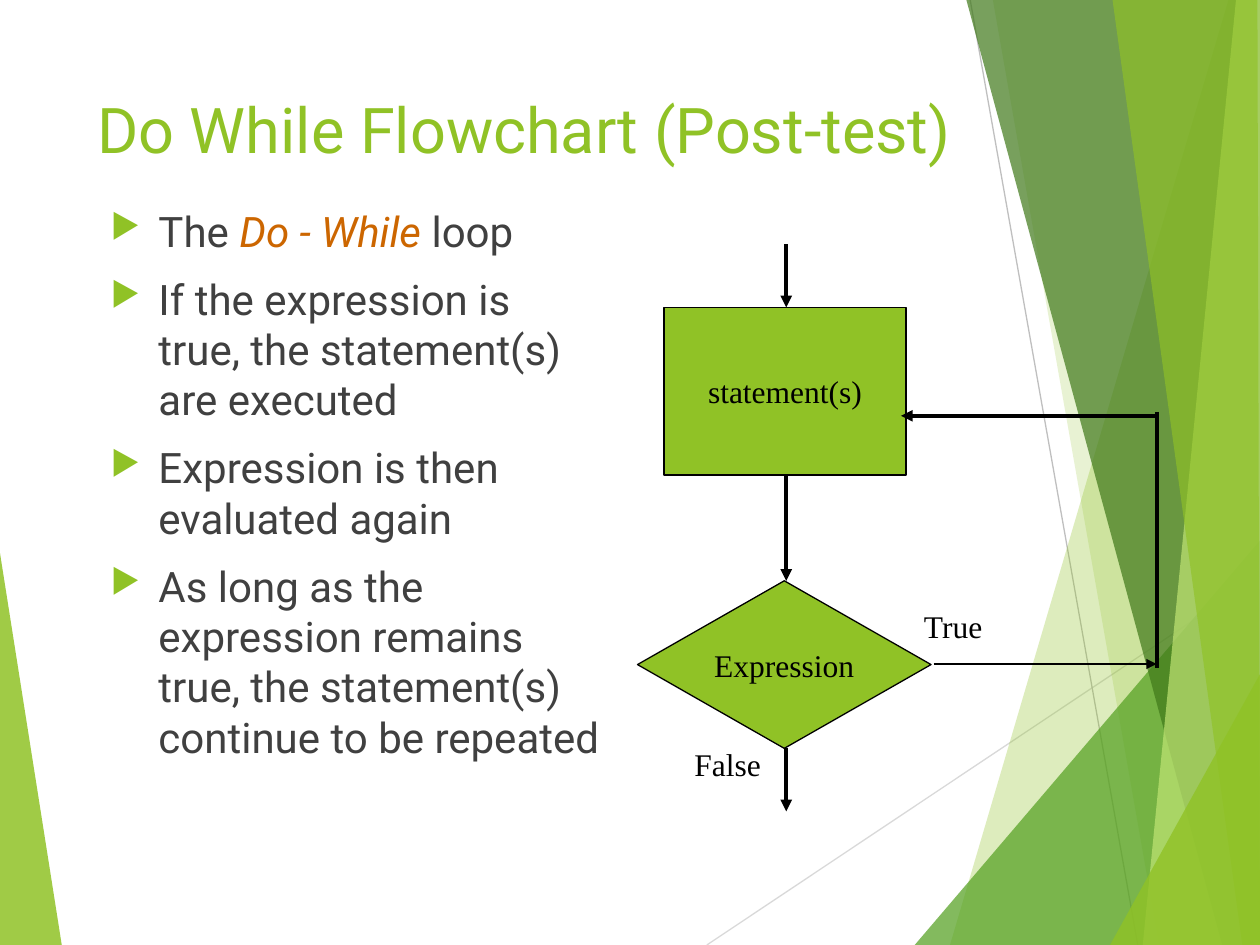
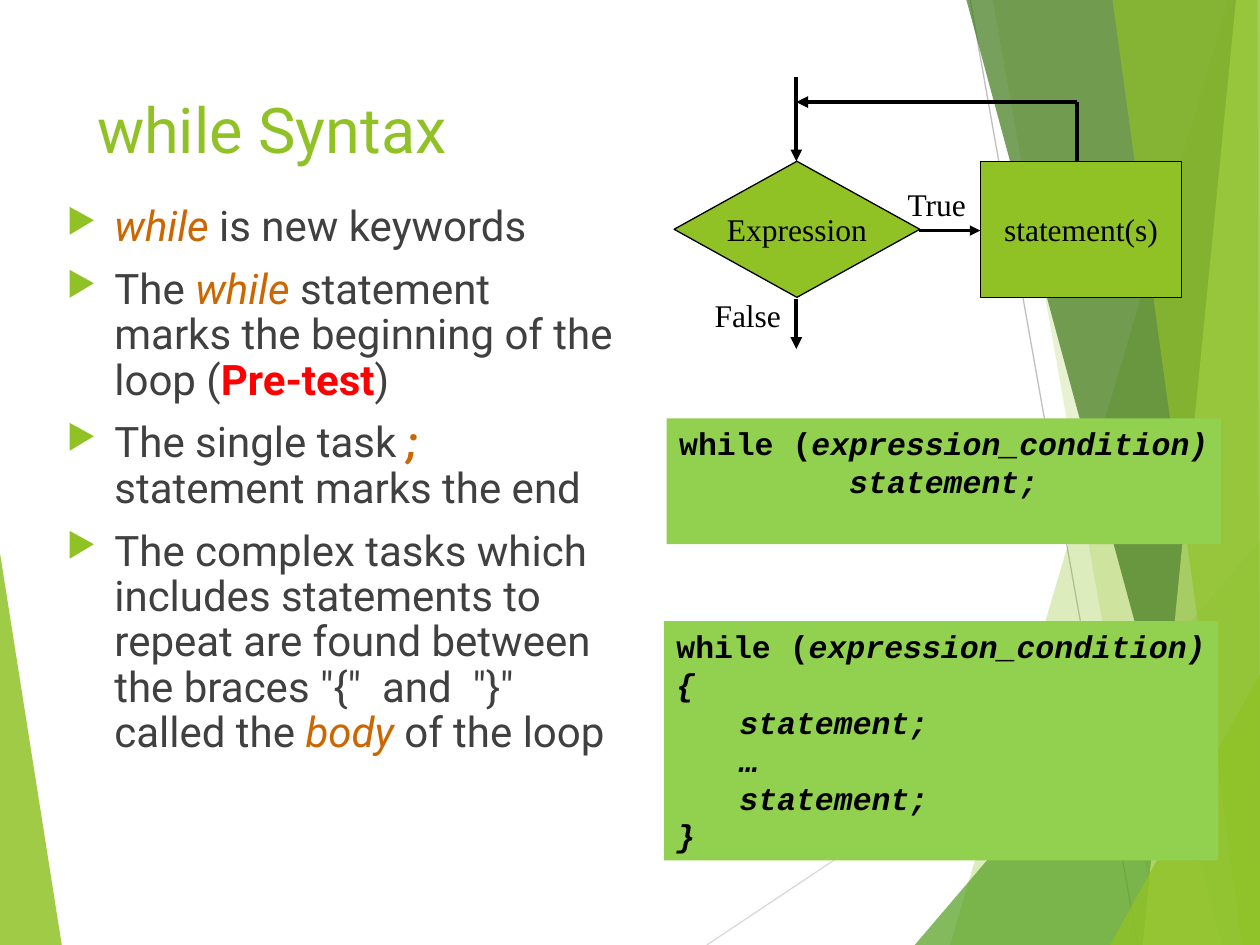
from dataclasses import dataclass

from lxml.etree import SubElement
from pptx import Presentation
from pptx.dml.color import RGBColor
from pptx.enum.shapes import MSO_CONNECTOR as Link, MSO_SHAPE as Shape
from pptx.enum.text import MSO_ANCHOR as Anchor, MSO_AUTO_SIZE as AutoSize, PP_ALIGN as Align
from pptx.oxml.ns import qn
from pptx.util import Inches, Pt

COLUMNS, ROWS = 10, 7.5
TITLE_ONLY = 5


@dataclass(frozen=True)
class Theme:
    accent: str = "90C226"
    leaf: str = "54A021"
    forest: str = "3F7819"
    lime: str = "C0E474"
    code_fill: str = "92D050"
    ink: str = "000000"
    body: str = "404040"
    keyword: str = "CC6600"
    alert: str = "FF0000"
    light_rule: str = "D9D9D9"
    dark_rule: str = "BFBFBF"
    text_font: str = "Roboto"
    label_font: str = "Times New Roman"
    code_font: str = "Courier New"
    title_size: int = 36
    body_size: int = 24
    label_size: int = 18
    thin: float = 0.75
    medium: float = 1.5
    thick: float = 2.25


THEME = Theme()

KEYWORD = dict(color=THEME.keyword, italic=True)
STRONG_KEYWORD = dict(KEYWORD, bold=True)
ALERT = dict(color=THEME.alert, bold=True)
CODE = dict(font=THEME.code_font, size=THEME.label_size, color=THEME.ink, bold=True)

RULES = [
    ((5.61, 7.5), (10, 4.57), THEME.light_rule),
    ((7.7, 0), (9.03, 7.5), THEME.dark_rule),
]
LEFT_BAND = (THEME.accent, 85, [(0, 4.39), (0.49, 7.5), (0, 7.5)])
RIGHT_BANDS = [
    (THEME.accent, 30, [(9.75, 0), (7.54, 7.5), (10, 7.5), (10, 0)]),
    (THEME.accent, 20, [(7.88, 0), (9.2, 7.5), (10, 7.5), (10, 0)]),
    (THEME.leaf, 72, [(7.26, 7.5), (10, 4.29), (10, 7.5)]),
    (THEME.forest, 70, [(7.67, 0), (9.7, 7.5), (10, 7.5), (10, 0)]),
    (THEME.lime, 70, [(9.81, 0), (9.07, 7.5), (10, 7.5), (10, 0)]),
    (THEME.accent, 65, [(8.83, 0), (9.86, 7.5), (10, 7.5), (9.98, 0)]),
    (THEME.accent, 80, [(8.81, 7.5), (10, 5.35), (10, 7.5)]),
]


def write(paragraph, text, font=THEME.text_font, size=THEME.body_size,
          color=THEME.body, bold=False, italic=False):
    for index, line in enumerate(text.split("\n")):
        if index:
            paragraph.add_line_break()
        run = paragraph.add_run()
        run.text = line
        run.font.name = font
        run.font.size = Pt(size)
        run.font.color.rgb = RGBColor.from_string(color)
        run.font.bold = bold
        run.font.italic = italic


class Deck:
    def __init__(self, theme):
        self.theme = theme
        self.prs = Presentation()
        self.prs.slide_width = Inches(10)
        self.prs.slide_height = Inches(7.5)
        self.layout = self.prs.slide_layouts[TITLE_ONLY]
        self.slide = None

    def x(self, columns):
        return round(self.prs.slide_width * columns / COLUMNS)

    def y(self, rows):
        return round(self.prs.slide_height * rows / ROWS)

    def place(self, left, top, width, height):
        return self.x(left), self.y(top), self.x(width), self.y(height)

    def start_slide(self, title, width):
        first = self.slide is None
        self.slide = self.prs.slides.add_slide(self.layout)
        if first:
            self.decorate_layout()
        heading = self.slide.shapes.title
        heading.left, heading.top, heading.width, heading.height = self.place(0.67, 0.67, width, 1.44)
        frame = heading.text_frame
        frame.auto_size = AutoSize.NONE
        frame.vertical_anchor = Anchor.TOP
        frame.paragraphs[0].alignment = Align.LEFT
        write(frame.paragraphs[0], title, size=self.theme.title_size, color=self.theme.accent)

    def decorate_layout(self):
        decor = [self.band(*LEFT_BAND)]
        decor += [self.line(start, end, color, self.theme.thin) for start, end, color in RULES]
        decor += [self.band(*band) for band in RIGHT_BANDS]
        tree = self.layout.shapes._spTree
        for index, part in enumerate(decor):
            element = part._element
            element.xpath(".//p:cNvPr")[0].set("id", str(100 + index))
            tree.insert(2 + index, element)

    def band(self, color, opacity, corners):
        start, *others = [(self.x(across), self.y(down)) for across, down in corners]
        builder = self.slide.shapes.build_freeform(*start)
        builder.add_line_segments(others, close=True)
        band = builder.convert_to_shape()
        self.paint(band, color)
        tint = band._element.spPr.find(qn("a:solidFill"))[0]
        SubElement(tint, qn("a:alpha"), val=str(opacity * 1000))
        return band

    def paint(self, shape, fill, outline=None):
        shape.shadow.inherit = False
        shape.fill.solid()
        shape.fill.fore_color.rgb = RGBColor.from_string(fill)
        if outline:
            shape.line.color.rgb = RGBColor.from_string(outline)
            shape.line.width = Pt(self.theme.thin)
        else:
            shape.line.fill.background()

    def line(self, start, end, color, weight, arrow=False):
        link = self.slide.shapes.add_connector(
            Link.STRAIGHT, self.x(start[0]), self.y(start[1]), self.x(end[0]), self.y(end[1]))
        link.line.color.rgb = RGBColor.from_string(color)
        link.line.width = Pt(weight)
        properties = link._element.spPr
        if arrow:
            SubElement(properties.find(qn("a:ln")), qn("a:tailEnd"), type="triangle")
        SubElement(properties, qn("a:effectLst"))
        return link

    def flow(self, start, end, weight=THEME.thick, arrow=True):
        self.line(start, end, self.theme.ink, weight, arrow)

    def label(self, text, *area):
        self.caption(self.slide.shapes.add_textbox(*self.place(*area)), text)

    def node(self, kind, text, *area):
        node = self.slide.shapes.add_shape(kind, *self.place(*area))
        self.paint(node, self.theme.accent, self.theme.ink)
        self.caption(node, text)

    def caption(self, shape, text):
        frame = shape.text_frame
        frame.word_wrap = False
        frame.vertical_anchor = Anchor.MIDDLE
        frame.paragraphs[0].alignment = Align.CENTER
        write(frame.paragraphs[0], text, font=self.theme.label_font,
              size=self.theme.label_size, color=self.theme.ink)

    def bullets(self, points, *area, spacing=1.0):
        frame = self.slide.shapes.add_textbox(*self.place(*area)).text_frame
        frame.word_wrap = True
        for index, runs in enumerate(points):
            paragraph = frame.add_paragraph() if index else frame.paragraphs[0]
            properties = paragraph._p.get_or_add_pPr()
            properties.set("marL", str(Inches(0.38)))
            properties.set("indent", str(-Inches(0.38)))
            tint = SubElement(properties, qn("a:buClr"))
            SubElement(tint, qn("a:srgbClr"), val=self.theme.accent)
            SubElement(properties, qn("a:buSzPct"), val="80000")
            SubElement(properties, qn("a:buChar"), char="▶")
            paragraph.line_spacing = spacing
            if index:
                paragraph.space_before = Pt(10)
            for text, style in runs:
                write(paragraph, text, **style)

    def code(self, lines, *area, align=Align.LEFT):
        panel = self.slide.shapes.add_shape(Shape.RECTANGLE, *self.place(*area))
        self.paint(panel, self.theme.code_fill)
        frame = panel.text_frame
        frame.word_wrap = False
        frame.vertical_anchor = Anchor.TOP
        opening = frame.paragraphs[0]
        write(opening, "while (", **CODE)
        write(opening, "expression_condition)", italic=True, **CODE)
        for text in lines:
            write(frame.add_paragraph(), text, italic=True, **CODE)
        for paragraph in frame.paragraphs:
            paragraph.alignment = align


def add_do_while(deck):
    deck.start_slide("Do While Flowchart (Post-test)", 7.32)
    deck.bullets([
        [("The ", {}), ("Do - While", KEYWORD), (" loop", {})],
        [("If the expression is \ntrue, the statement(s)\nare executed", {})],
        [("Expression is then\nevaluated again", {})],
        [("As long as the \nexpression remains \ntrue, the statement(s) \ncontinue to be repeated", {})],
    ], 0.78, 1.58, 4.26, 5.4)

    axis, loop = 6.24, 9.18
    deck.node(Shape.FLOWCHART_DECISION, "Expression", 5.06, 4.61, 2.33, 1.33)
    deck.node(Shape.FLOWCHART_PROCESS, "statement(s)", 5.27, 2.44, 1.92, 1.33)
    for top, bottom in [(1.94, 2.44), (3.77, 4.61), (5.94, 6.44)]:
        deck.flow((axis, top), (axis, bottom))
    deck.flow((loop, 3.27), (loop, 5.3), arrow=False)
    deck.flow((7.41, 5.27), (loop, 5.27), deck.theme.medium)
    deck.flow((loop, 3.3), (7.15, 3.3))
    deck.label("False", 5.41, 5.86, 0.73, 0.4)
    deck.label("True", 7.23, 4.77, 0.67, 0.4)


def add_while_syntax(deck):
    deck.start_slide("while Syntax", 6.94)
    deck.bullets([
        [("while ", KEYWORD), ("is new keywords", {})],
        [("The ", {}), ("while ", KEYWORD),
         ("statement marks the beginning of the loop (", {}), ("Pre-test", ALERT), (")", {})],
        [("The single task ", {}), (";", STRONG_KEYWORD), (" statement marks the end", {})],
        [("The complex tasks which includes statements to repeat are found between "
          'the braces "{"  and  "}" called the ', {}), ("body", KEYWORD), (" of the loop", {})],
    ], 0.43, 1.58, 4.57, 5, spacing=0.9)

    deck.code(["statement;"], 5.29, 3.32, 4.4, 1, align=Align.CENTER)
    deck.code(["{", "\tstatement;", "\t…", "\tstatement;", "}"], 5.27, 4.93, 4.4, 1.9)

    axis, loop, turn = 6.32, 8.55, 0.81
    deck.node(Shape.FLOWCHART_DECISION, "Expression", 5.35, 1.28, 1.95, 1.08)
    deck.node(Shape.FLOWCHART_PROCESS, "statement(s)", 7.78, 1.28, 1.6, 1.08)
    for top, bottom in [(0.61, 1.28), (2.37, 2.77)]:
        deck.flow((axis, top), (axis, bottom))
    deck.flow((loop, turn), (loop, 1.28), arrow=False)
    deck.flow((7.29, 1.83), (7.78, 1.83), deck.theme.medium)
    deck.flow((loop, turn), (axis, turn))
    deck.label("False", 5.57, 2.3, 0.73, 0.4)
    deck.label("True", 7.1, 1.42, 0.67, 0.4)


def main():
    deck = Deck(THEME)
    add_do_while(deck)
    add_while_syntax(deck)
    deck.prs.save("out.pptx")


if __name__ == "__main__":
    main()
